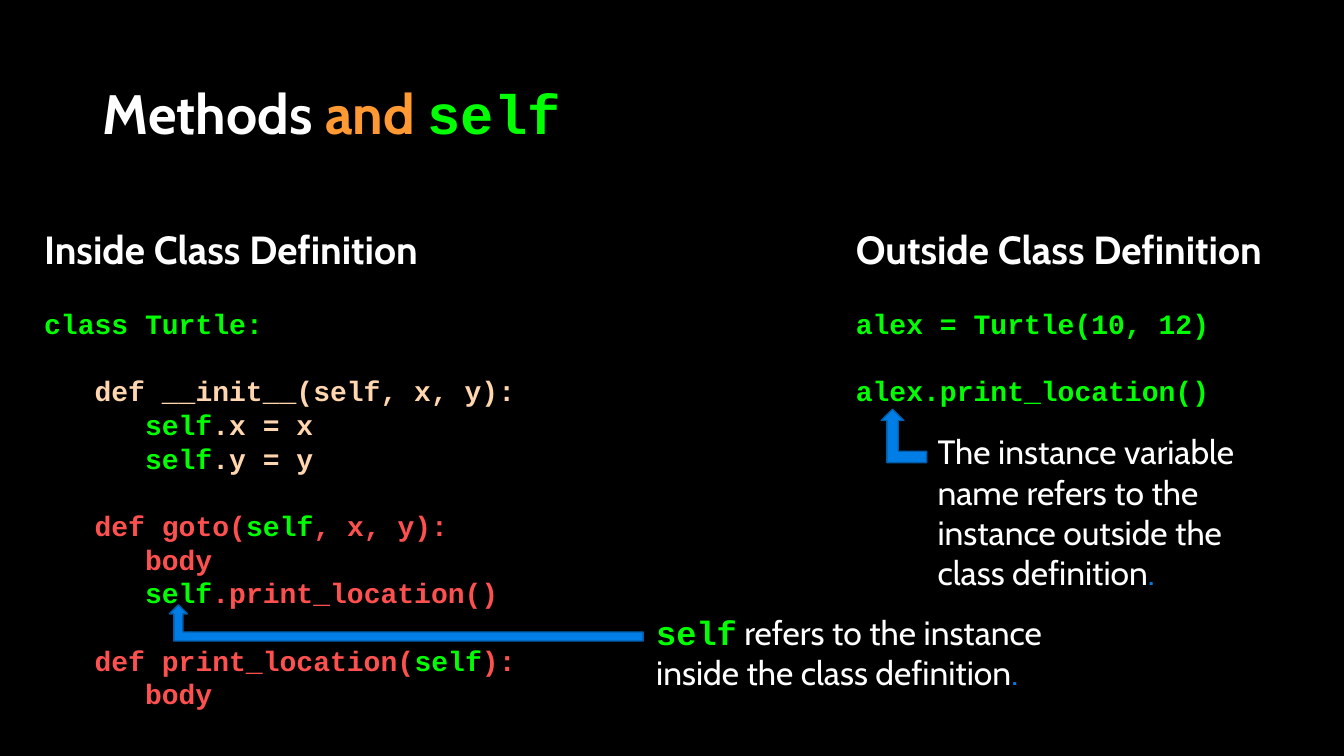
"""Builds a slide on methods and self, inside and outside a class."""
from pptx import Presentation
from pptx import util as u
from pptx.dml.color import RGBColor
from pptx.enum import shapes, text

HUES = {"black": "000000", "white": "FFFFFF", "orange": "FF9933", "green": "00FF00",
        "peach": "FFD6AD", "red": "FF5050", "blue": "017EE5", "navy": "015DA9"}
SANS, MONO = "Cabin", "Courier New"
LEFT, RIGHT = 0.34, 8.39
HEAD_TOP, CODE_TOP = 2.19, 2.99
STEP, GAP = 0.5, 24.2
SELF = ("self", "green")


def hue(name):
    """Return the colour of that name."""
    return RGBColor.from_string(HUES[name])


def write(para, runs, size, font=SANS, bold=False, level=0, gap=0):
    """Fill a paragraph with (text, colour, font, bold) runs."""
    para.alignment = text.PP_ALIGN.LEFT
    para.space_before = u.Pt(gap)
    props = para._p.get_or_add_pPr()
    props.set("marL", str(u.Inches(level * STEP)))
    props.set("indent", "0")
    for words, tint, *rest in runs:
        run = para.add_run()
        run.text = words
        face = run.font
        face.name, face.bold = rest or (font, bold)
        face.size = u.Pt(size)
        face.color.rgb = hue(tint)


class Deck:
    """Holds the style and the current slide."""

    def __init__(self):
        """Start a deck with one black slide."""
        self.prs = Presentation()
        self.prs.slide_width = u.Inches(13.33)
        self.prs.slide_height = u.Inches(7.5)
        self.slide = self.prs.slides.add_slide(self.prs.slide_layouts[5])
        fill = self.slide.background.fill
        fill.solid()
        fill.fore_color.rgb = hue("black")

    def title(self, box, runs):
        """Place and fill the title."""
        shape = self.slide.shapes.title
        shape.left, shape.top, shape.width, shape.height = map(u.Inches, box)
        frame = shape.text_frame
        frame.auto_size = text.MSO_AUTO_SIZE.NONE
        frame.vertical_anchor = text.MSO_ANCHOR.MIDDLE
        para = frame.paragraphs[0]
        para.line_spacing = 0.9
        write(para, runs, 39.6, bold=True)

    def frame(self, box, wrap=True):
        """Add a text box and return its frame."""
        frame = self.slide.shapes.add_textbox(*map(u.Inches, box)).text_frame
        frame.word_wrap = wrap
        frame.auto_size = text.MSO_AUTO_SIZE.SHAPE_TO_FIT_TEXT
        return frame

    def head(self, box, words):
        """Add a column heading."""
        frame = self.frame(box, wrap=False)
        write(frame.paragraphs[0], [(words, "white")], 28, bold=True)

    def note(self, box, runs):
        """Add a remark."""
        write(self.frame(box).paragraphs[0], runs, 24)

    def code(self, box, lines):
        """Add code from (level, gap, runs) lines."""
        frame = self.frame(box)
        for num, (level, gap, runs) in enumerate(lines):
            para = frame.add_paragraph() if num else frame.paragraphs[0]
            write(para, runs, 20, MONO, True, level, gap)

    def arrow(self, box):
        """Add a bent arrow that points up on its left."""
        kind = shapes.MSO_SHAPE.BENT_UP_ARROW
        shape = self.slide.shapes.add_shape(kind, *map(u.Inches, box))
        shape._element.spPr.xfrm.set("flipH", "1")
        shape.shadow.inherit = False
        shape.fill.solid()
        shape.fill.fore_color.rgb = hue("blue")
        shape.line.color.rgb = hue("navy")
        shape.line.width = u.Pt(1)


def main():
    """Build and save the slide."""
    deck = Deck()
    deck.title((0.92, 0.8, 11.5, 0.72), [
        ("Methods ", "white"), ("and ", "orange"), (*SELF, MONO, True)])
    deck.code((LEFT, CODE_TOP, 7.06, 4.14), [
        (0, 0, [("class Turtle:", "green")]),
        (1, GAP, [("def __init__(self, x, y):", "peach")]),
        (2, 0, [SELF, (".x = x", "peach")]),
        (2, 0, [SELF, (".y = y", "peach")]),
        (1, GAP, [("def goto(", "red"), SELF, (", x, y):", "red")]),
        (2, 0, [("body", "red")]),
        (2, 0, [SELF, (".print_location()", "red")]),
        (1, GAP, [("def print_location(", "red"), SELF, ("):", "red")]),
        (2, 0, [("body", "red")])])
    deck.code((RIGHT, CODE_TOP, 4.05, 1.11), [
        (0, 0, [("alex = Turtle(10, 12)", "green")]),
        (0, GAP, [("alex.print_location()", "green")])])
    deck.head((LEFT, HEAD_TOP, 4.3, 0.57), "Inside Class Definition")
    deck.head((RIGHT, HEAD_TOP, 4.62, 0.57), "Outside Class Definition")
    deck.note((6.41, 6.02, 4.22, 0.91), [
        (*SELF, MONO, True),
        (" refers to the instance inside the class definition", "white"),
        (".", "blue")])
    deck.note((9.2, 4.23, 3.58, 1.72), [
        ("The instance variable name refers to the instance "
         "outside the class definition", "white"),
        (".", "blue")])
    deck.arrow((1.68, 6, 4.7, 0.36))
    deck.arrow((8.74, 4.06, 0.45, 0.53))
    deck.prs.save("out.pptx")


if __name__ == "__main__":
    main()
